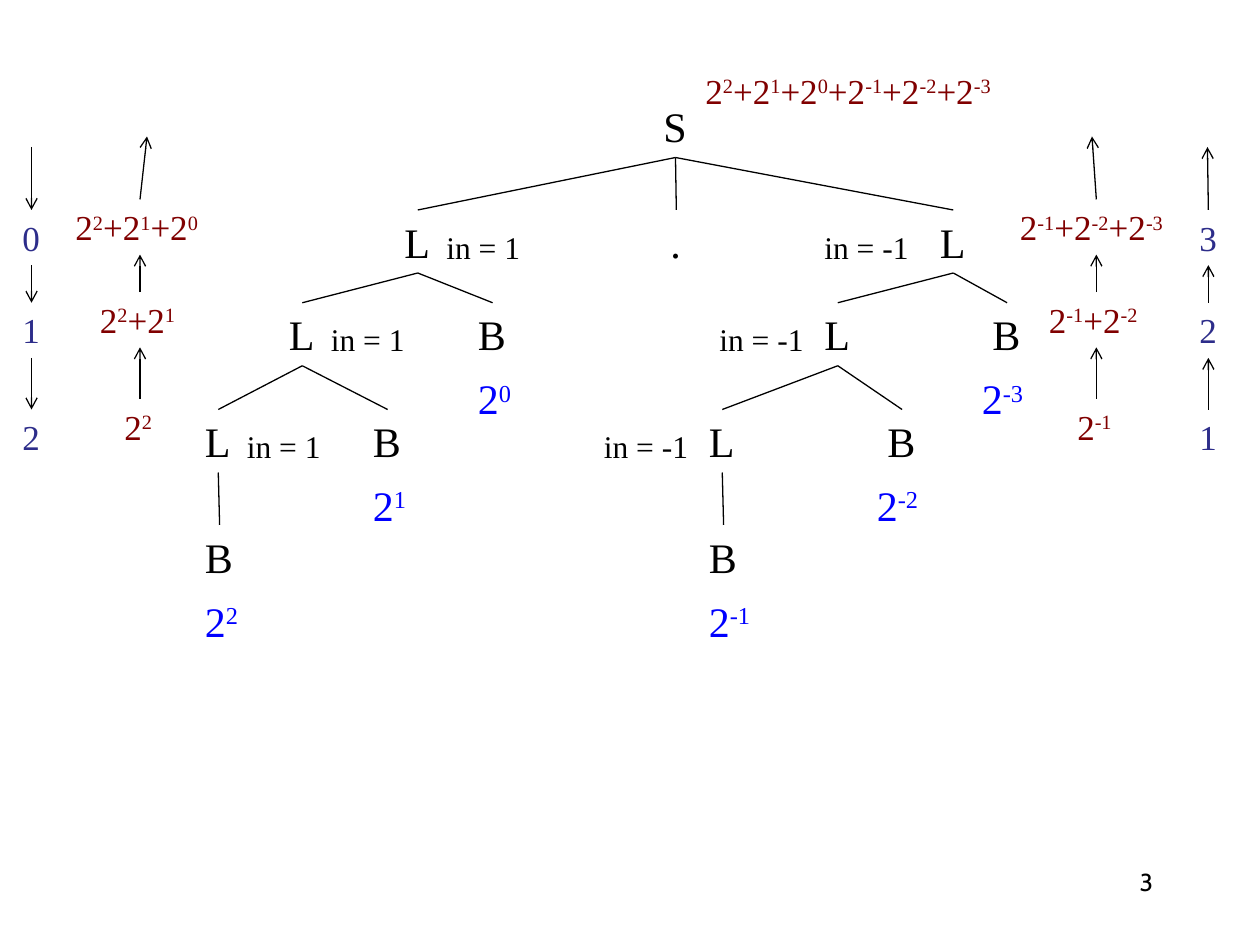
from lxml import etree
from pptx import Presentation
from pptx.dml.color import RGBColor
from pptx.enum.shapes import MSO_CONNECTOR
from pptx.enum.text import MSO_AUTO_SIZE, PP_ALIGN
from pptx.oxml.ns import qn
from pptx.util import Pt

STRAIGHT = MSO_CONNECTOR.STRAIGHT
FIT_SHAPE = MSO_AUTO_SIZE.SHAPE_TO_FIT_TEXT
RIGHT = PP_ALIGN.RIGHT
TOP, BOTTOM = 0, 2

COLORS = {"black": "000000", "value": "0000FF", "sum": "800000", "level": "2D2D8A"}
HEIGHTS = {24: 36, 20: 31.5, 18: 29}
LEVELS = [120, 173, 234]
LEAF_Y = 300


class TreeSlide:
    """Attribute-grammar parse tree drawn on one slide."""

    def __init__(self, slide, font="Times New Roman"):
        self.s = slide
        self.font = font

    def style(self, r, size, color, font=None):
        r.font.size = Pt(size)
        r.font.name = font or self.font
        r.font.color.rgb = RGBColor.from_string(COLORS[color])

    def label(self, text, x, y, w, size=24, color="black"):
        sp = self.s.shapes.add_textbox(Pt(x), Pt(y), Pt(w), Pt(HEIGHTS[size]))
        tf = sp.text_frame
        tf.word_wrap = False
        tf.auto_size = FIT_SHAPE
        tf.text = text
        self.style(tf.paragraphs[0].runs[0], size, color)
        return sp

    def powers(self, text, x, y, w, size=24, color="value"):
        base, *pieces = text.split("^")
        sp = self.label(base, x, y, w, size, color)
        p = sp.text_frame.paragraphs[0]
        for piece in pieces:
            exponent, plus, base = piece.partition("+")
            r = p.add_run()
            r.text = exponent
            self.style(r, size, color)
            r._r.get_or_add_rPr().set("baseline", "30000")
            if plus:
                r = p.add_run()
                r.text = plus + base
                self.style(r, size, color)
        return sp

    def line(self, start=(0, 0), end=(0, 0), arrow=False):
        cx = self.s.shapes.add_connector(STRAIGHT, *map(Pt, start + end))
        cx.line.width = Pt(0.75)
        cx.line.color.rgb = RGBColor.from_string(COLORS["black"])
        if arrow:
            etree.SubElement(cx.line._get_or_add_ln(), qn("a:tailEnd"), type="arrow")
        etree.SubElement(cx._element.spPr, qn("a:effectLst"))
        return cx

    def edge(self, parent, child):
        cx = self.line()
        cx.begin_connect(parent, BOTTOM)
        cx.end_connect(child, TOP)

    def branch(self, root, l_xs, b_xs, inherited, in_xs, in_w, values, value_xs, value_w):
        parent = root
        for i, y in enumerate(LEVELS):
            node = self.label("L", l_xs[i], y, 29.5)
            self.edge(parent, node)
            self.label(inherited, in_xs[i], y + 6.5, in_w, 18)
            b_y = LEVELS[i + 1] if i < 2 else LEAF_Y
            bit = self.label("B", b_xs[i], b_y, 31)
            self.edge(node, bit)
            self.powers(values[i], value_xs[i], b_y + 36.5, value_w)
            parent = node

    def column(self, texts, widths, center, dy, tip, color, down=False):
        boxes = [self.powers(t, center - w / 2, y + dy, w, 20, color)
                 for t, w, y in zip(texts, widths, LEVELS)]
        if down:
            cx = self.line(start=tip, arrow=True)
            cx.end_connect(boxes[0], TOP)
        else:
            cx = self.line(end=tip, arrow=True)
            cx.begin_connect(boxes[0], TOP)
        for upper, lower in zip(boxes, boxes[1:]):
            cx = self.line(arrow=True)
            if down:
                cx.begin_connect(upper, BOTTOM)
                cx.end_connect(lower, TOP)
            else:
                cx.begin_connect(lower, TOP)
                cx.end_connect(upper, BOTTOM)

    def page_number(self, text):
        sp = self.s.shapes.add_textbox(Pt(516), Pt(492), Pt(150), Pt(36))
        tf = sp.text_frame
        tf.word_wrap = True
        tf.text = text
        p = tf.paragraphs[0]
        p.alignment = RIGHT
        self.style(p.runs[0], 14, "black", "Cabin")


def main():
    prs = Presentation()
    prs.slide_width, prs.slide_height = Pt(720), Pt(540)
    tree = TreeSlide(prs.slides.add_slide(prs.slide_layouts[6]))

    root = tree.label("S", 372, 54, 28)
    tree.edge(root, tree.label(".", 376, LEVELS[0], 21))
    tree.branch(root, [224, 158, 110], [266, 206, 110],
                "in = 1", [248, 182, 134], 57,
                ["2^0", "2^1", "2^2"], [266, 206, 110], 34.5)
    tree.branch(root, [530, 464, 398], [560, 500, 398],
                "in = -1", [464, 404, 338], 63.5,
                ["2^-3", "2^-2", "2^-1"], [554, 494, 398], 40.5)
    tree.powers("2^2+2^1+2^0+2^-1+2^-2+2^-3", 396, 36, 186, 20, "sum")

    tree.column("012", [24.5] * 3, 18, 0, (18, 84), "level", down=True)
    tree.column("321", [24.5] * 3, 690.5, 0, (690, 84), "level")
    tree.column(["2^2+2^1+2^0", "2^2+2^1", "2^2"], [88, 60, 32],
                80, -6, (84, 78), "sum")
    tree.column(["2^-1+2^-2+2^-3", "2^-1+2^-2", "2^-1"], [101.5, 68.5, 36],
                626.5, -6, (624, 78), "sum")
    tree.page_number("3")
    prs.save("out.pptx")


if __name__ == "__main__":
    main()
